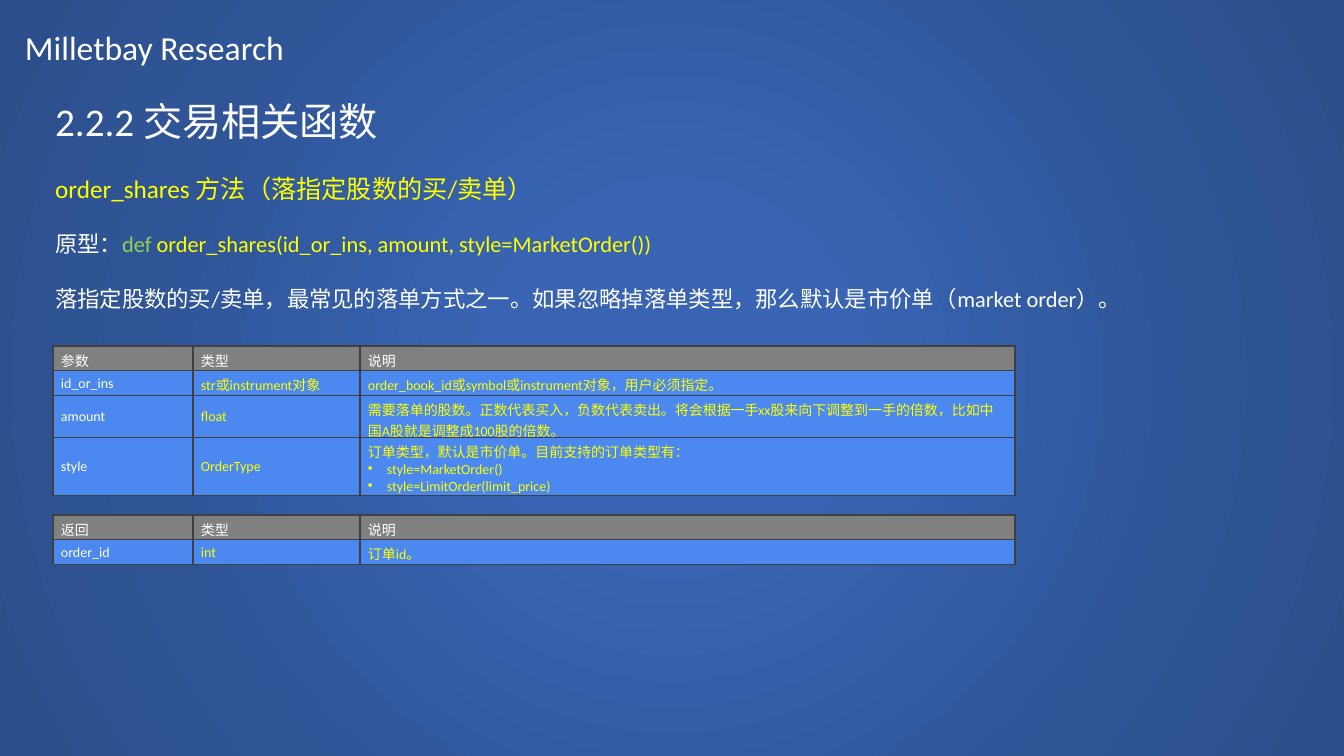
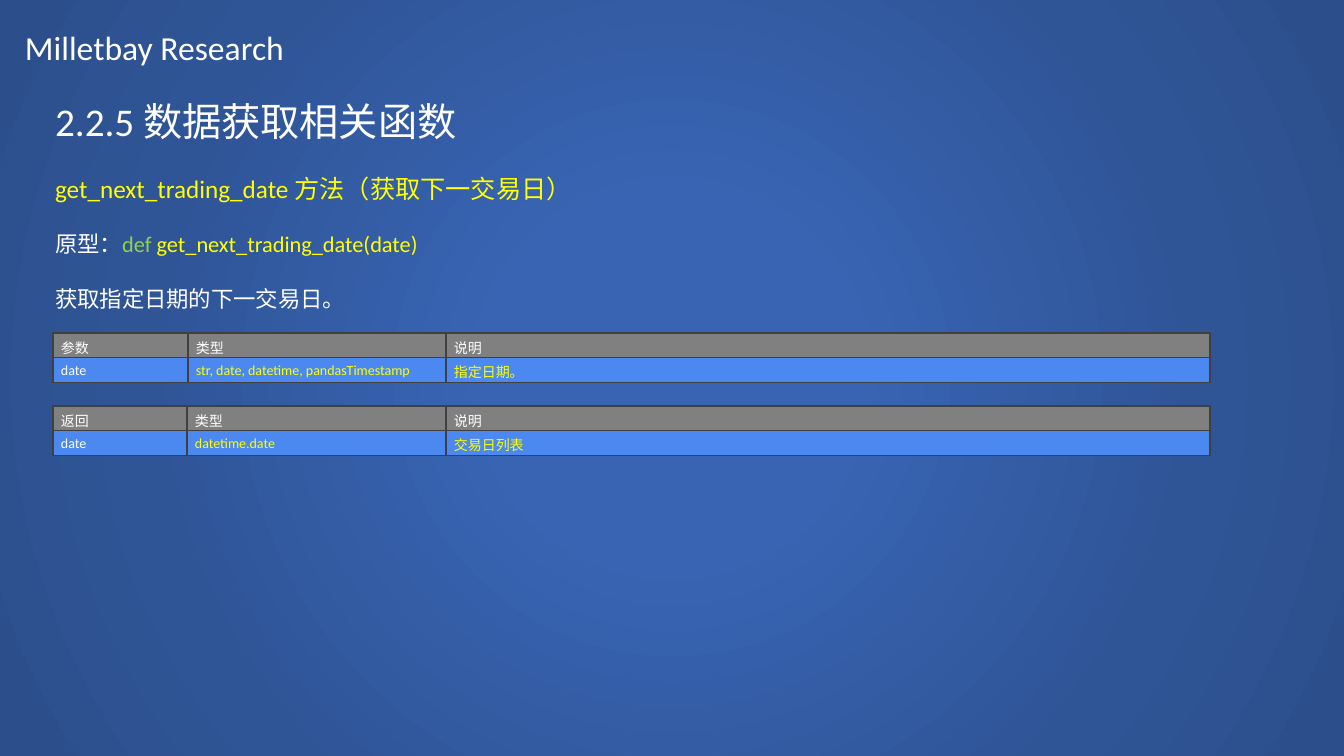
from lxml import etree
from pptx import Presentation
from pptx import util as u
from pptx.dml.color import RGBColor
from pptx.enum import text
from pptx.oxml import parse_xml
from pptx.oxml.ns import nsdecls, qn

PX = 914400 / 100.8
WHITE = RGBColor(0xFF, 0xFF, 0xFF)
YELLOW = RGBColor(0xFF, 0xFF, 0x00)
GREEN = RGBColor(0x92, 0xD0, 0x50)
GREY = RGBColor(0x80, 0x80, 0x80)
BLUE = RGBColor(0x4B, 0x89, 0xF0)
EDGE = RGBColor(0x40, 0x40, 0x40)
GLOW = [(0, "3864B3"), (23, "3864B3"), (69, "2F5597"), (97, "2C4F8C")]
FONT = "Calibri"


def px(*vals):
    return [u.Emu(round(v * PX)) for v in vals]


def write(frame, lines, size=10, color=WHITE, gap=0, bullet=False):
    """Fill a frame; each line is a string or a list of (text, color, size)."""
    frame.word_wrap = True
    for i, line in enumerate(lines):
        para = frame.paragraphs[0] if i == 0 else frame.add_paragraph()
        props = para._p.get_or_add_pPr()
        dot = bullet and i > 0
        indent = px(19)[0] if dot else 0
        props.set("marL", str(indent))
        props.set("indent", str(-indent))
        if dot:
            etree.SubElement(props, qn("a:buChar")).set("char", "•")
        else:
            etree.SubElement(props, qn("a:buNone"))
        para.alignment = text.PP_ALIGN.LEFT
        para.space_before = u.Pt(gap if i else 0)
        for part in [(line, color, size)] if isinstance(line, str) else line:
            run = para.add_run()
            run.text, run.font.color.rgb, run.font.size = part[0], part[1], u.Pt(part[2])
            run.font.name, run.font.bold = FONT, False


# Content: title, method, signature, summary, tables (top, columns, heights, rows)
KIND, NOTE = "类型", "说明"
pages = [
    ("2.2.2 交易相关函数", "order_shares 方法（落指定股数的买/卖单）",
     "order_shares(id_or_ins, amount, style=MarketOrder())",
     "落指定股数的买/卖单，最常见的落单方式之一。如果忽略掉落单类型，那么默认是市价单（market order）。",
     [(346, [140, 167, 655], [24, 25, 41, 58], [
         ["参数", KIND, NOTE],
         ["id_or_ins", "str或instrument对象",
          "order_book_id或symbol或instrument对象，用户必须指定。"],
         ["amount", "float",
          "需要落单的股数。正数代表买入，负数代表卖出。将会根据一手xx股来向下调整到一手的倍数，"
          "比如中国A股就是调整成100股的倍数。"],
         ["style", "OrderType",
          "订单类型，默认是市价单。目前支持的订单类型有：\n"
          "style=MarketOrder()\nstyle=LimitOrder(limit_price)"]]),
      (515, [140, 167, 655], [24, 25], [
          ["返回", KIND, NOTE],
          ["order_id", "int", "订单id。"]])]),
    ("2.2.5 数据获取相关函数", "get_next_trading_date 方法（获取下一交易日）",
     "get_next_trading_date(date)", "获取指定日期的下一交易日。",
     [(333, [135, 258, 764], [24, 25], [
         ["参数", KIND, NOTE],
         ["date", "str, date, datetime, pandasTimestamp", "指定日期。"]]),
      (406, [134, 259, 764], [24, 25], [
          ["返回", KIND, NOTE],
          ["date", "datetime.date", "交易日列表"]])]),
]

deck = Presentation()
deck.slide_width, deck.slide_height = px(1344, 756)

# Shared layout: radial background, title and body places
layout = deck.slide_layouts[1]
layout.background.fill.solid()
back = layout.element.find(".//" + qn("p:bgPr"))
stops = "".join(f'<a:gs pos="{pos * 1000}"><a:srgbClr val="{tone}"/></a:gs>'
                for pos, tone in GLOW)
back.replace(back[0], parse_xml(
    f'<a:gradFill {nsdecls("a")} rotWithShape="1"><a:gsLst>{stops}</a:gsLst>'
    '<a:path path="circle"><a:fillToRect l="50000" t="50000" r="50000" b="50000"/>'
    '</a:path></a:gradFill>'))
for holder, (top, high) in zip(layout.placeholders, [(92, 60), (168, 150)]):
    holder.left, holder.top, holder.width, holder.height = px(45, top, 1186, high)
    holder.text_frame.vertical_anchor = text.MSO_ANCHOR.TOP
    holder.text_frame.auto_size = text.MSO_AUTO_SIZE.NONE

for title, method, sign, about, tables in pages:
    slide = deck.slides.add_slide(layout)

    # Heading and description
    write(slide.shapes.title.text_frame, [title], size=28)
    write(slide.placeholders[1].text_frame, [
        [(method, YELLOW, 18)],
        [("原型：", WHITE, 16), ("def ", GREEN, 16), (sign, YELLOW, 16)],
        about], size=16, gap=19.5)
    brand = slide.shapes.add_textbox(*px(15, 22, 508, 50))
    write(brand.text_frame, ["Milletbay Research"], size=24)

    # Parameter and return tables
    for top, cols, highs, rows in tables:
        grid = slide.shapes.add_table(
            len(rows), len(cols), *px(53, top, sum(cols), sum(highs))).table
        for col, wide in zip(grid.columns, px(*cols)):
            col.width = wide
        for row, high in zip(grid.rows, px(*highs)):
            row.height = high
        for r, row in enumerate(rows):
            for c, words in enumerate(row):
                cell = grid.cell(r, c)
                cell.margin_left, cell.margin_right = px(8, 8)
                cell.margin_top, cell.margin_bottom = px(4, 4)
                cell.vertical_anchor = text.MSO_ANCHOR.MIDDLE
                for side in "LRTB":
                    cell._tc.get_or_add_tcPr().append(parse_xml(
                        f'<a:ln{side} {nsdecls("a")} w="12700"><a:solidFill>'
                        f'<a:srgbClr val="{EDGE}"/></a:solidFill></a:ln{side}>'))
                cell.fill.solid()
                cell.fill.fore_color.rgb = BLUE if r else GREY
                write(cell.text_frame, words.split("\n"),
                      color=YELLOW if r and c else WHITE, bullet=True)

deck.save("out.pptx")
